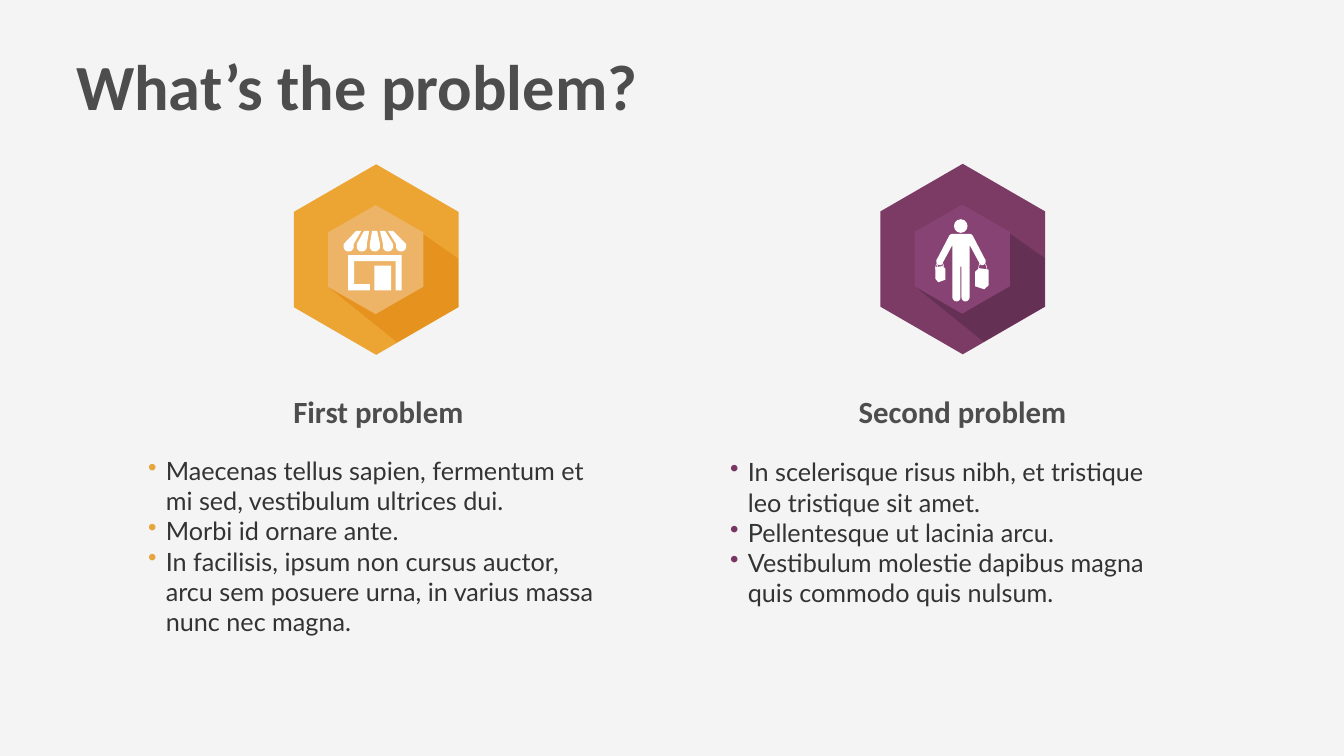
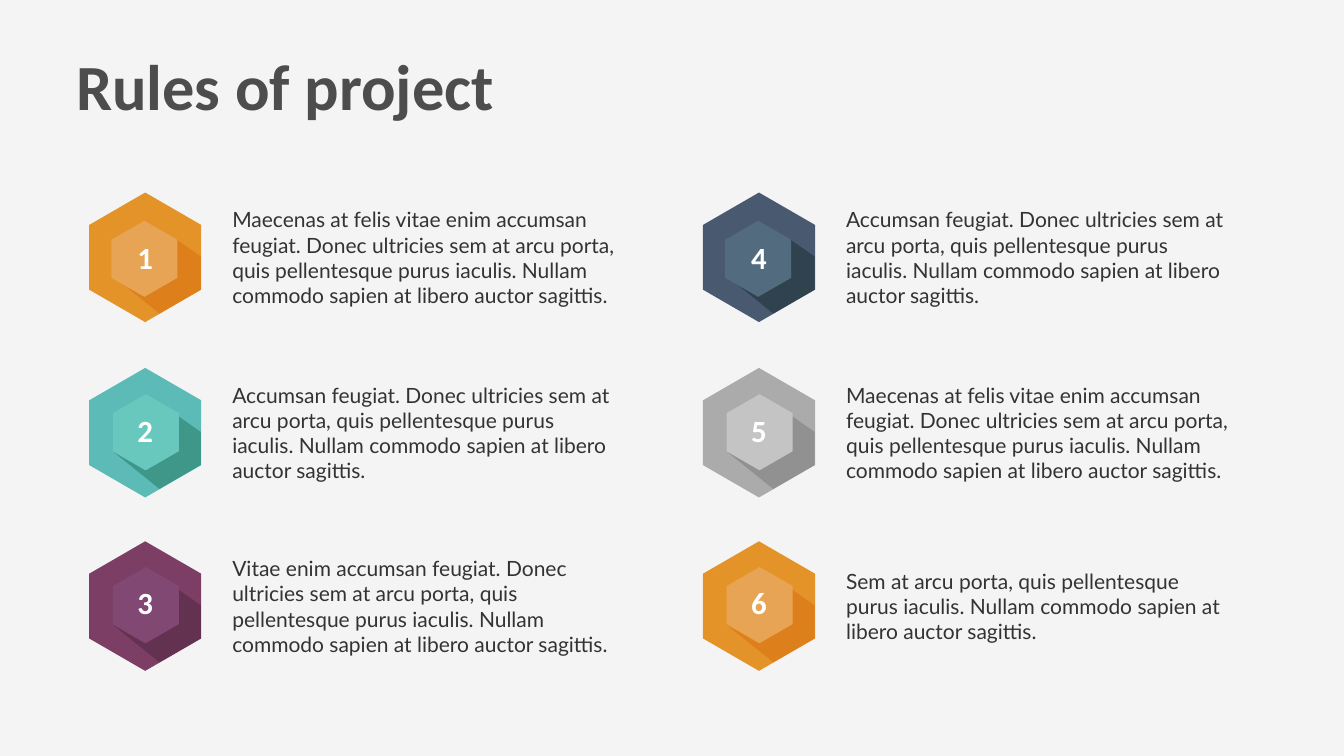
from dataclasses import dataclass
from typing import Optional

import lxml.etree
import pptx
import pptx.dml.color
import pptx.enum.shapes
import pptx.enum.text
import pptx.oxml.ns
import pptx.shapes.autoshape
import pptx.slide
import pptx.util

Inches = pptx.util.Inches
RGBColor = pptx.dml.color.RGBColor
Slide = pptx.slide.Slide
Shape = pptx.shapes.autoshape.Shape
Align = pptx.enum.text.PP_ALIGN
Anchor = pptx.enum.text.MSO_ANCHOR
Point = tuple[float, float]

BACKGROUND = RGBColor(0xF4, 0xF4, 0xF4)
HEADING = RGBColor(0x4D, 0x4D, 0x4D)
BODY = RGBColor(0x33, 0x33, 0x33)
WHITE = RGBColor(0xFF, 0xFF, 0xFF)
ORANGE_BULLET = RGBColor(0xE7, 0xA5, 0x3D)
PURPLE_BULLET = RGBColor(0x79, 0x36, 0x65)


@dataclass(frozen=True)
class TextStyle:
    font: str
    size: int
    color: RGBColor
    bold: bool = False
    align: Align = Align.LEFT
    anchor: Anchor = Anchor.MIDDLE
    inset: float = 0.06


TITLE = TextStyle("Calibri", 92, HEADING, True, anchor=Anchor.TOP, inset=0)
SUBTITLE = TextStyle("Calibri", 44, HEADING, True, Align.CENTER)
NUMBER = TextStyle("Calibri", 44, WHITE, True, Align.CENTER)
BULLETS = TextStyle("Lato", 36, BODY, anchor=Anchor.TOP, inset=0)
RULE_TEXT = TextStyle("Lato", 30, BODY)


@dataclass(frozen=True)
class Palette:
    outer: RGBColor
    shade: RGBColor
    inner: RGBColor


LIGHT_ORANGE = Palette(RGBColor(0xEC, 0xA4, 0x33), RGBColor(0xE5, 0x92, 0x1F), RGBColor(0xED, 0xB4, 0x68))
PLUM = Palette(RGBColor(0x7B, 0x3B, 0x65), RGBColor(0x64, 0x30, 0x53), RGBColor(0x87, 0x43, 0x74))
ORANGE = Palette(RGBColor(0xE4, 0x93, 0x28), RGBColor(0xDD, 0x80, 0x1C), RGBColor(0xE7, 0xA4, 0x55))
TEAL = Palette(RGBColor(0x5C, 0xBB, 0xB6), RGBColor(0x3E, 0x97, 0x89), RGBColor(0x69, 0xC8, 0xBE))
PURPLE = Palette(RGBColor(0x7C, 0x3E, 0x64), RGBColor(0x63, 0x32, 0x51), RGBColor(0x81, 0x48, 0x74))
NAVY = Palette(RGBColor(0x49, 0x5A, 0x70), RGBColor(0x30, 0x42, 0x4E), RGBColor(0x53, 0x6B, 0x7E))
GRAY = Palette(RGBColor(0xAB, 0xAB, 0xAB), RGBColor(0x91, 0x91, 0x91), RGBColor(0xC4, 0xC4, 0xC4))


@dataclass(frozen=True)
class BadgeSize:
    scale: float
    inner_width: float
    inner_height: float


LARGE = BadgeSize(1, 1.89, 2.16)
SMALL = BadgeSize(0.68, 1.31, 1.51)
BADGE_WIDTH, BADGE_HEIGHT = 3.27, 3.78
SHADE = [(2.56, 1.38), (3.26, 1.87), (3.26, 2.83), (2.05, 3.53), (0.72, 2.46), (1.62, 2.98), (2.57, 2.42)]


@dataclass(frozen=True)
class Problem:
    heading: str
    heading_left: float
    badge_at: Point
    palette: Palette
    bullets_at: Point
    bullets_height: float
    bullet_color: RGBColor
    bullets: list[str]


PROBLEMS = [
    Problem("First problem", 4.85, (5.83, 3.26), LIGHT_ORANGE, (2.94, 9.03), 3.78, ORANGE_BULLET, [
        "Maecenas tellus sapien, fermentum et mi sed, vestibulum ultrices dui.",
        "Morbi id ornare ante.",
        "In facilisis, ipsum non cursus auctor, arcu sem posuere urna, in varius massa nunc nec magna.",
    ]),
    Problem("Second problem", 16.44, (17.47, 3.25), PLUM, (14.49, 9.06), 3.17, PURPLE_BULLET, [
        "In scelerisque risus nibh, et tristique leo tristique sit amet.",
        "Pellentesque ut lacinia arcu.",
        "Vestibulum molestie dapibus magna quis commodo quis nulsum.",
    ]),
]


@dataclass(frozen=True)
class RuleRow:
    top: float
    inner_offset: Point
    number_top: float


RULE_COLUMNS = [1.77, 13.95]
RULE_ROWS = [
    RuleRow(3.82, (0.44, 0.56), 4.69),
    RuleRow(7.3, (0.47, 0.52), 8.12),
    RuleRow(10.74, (0.47, 0.51), 11.53),
]
SEM = "em at arcu porta, quis pellentesque purus iaculis. Nullam commodo sapien at libero auctor sagittis."
DONEC = f"ccumsan feugiat. Donec ultricies s{SEM}"
RULES = [
    (ORANGE, f"Maecenas at felis vitae enim a{DONEC}"),
    (TEAL, f"A{DONEC}"),
    (PURPLE, f"Vitae enim a{DONEC}"),
    (NAVY, f"A{DONEC}"),
    (GRAY, f"Maecenas at felis vitae enim a{DONEC}"),
    (ORANGE, f"S{SEM}"),
]

SHOP_FRAME = [(6.91, 5.06), (6.91, 5.76), (7.34, 5.76), (7.34, 5.64), (7.03, 5.64),
              (7.03, 5.18), (7.85, 5.18), (7.85, 5.76), (7.97, 5.76), (7.97, 5.06)]
SHOP_DOOR = [(7.76, 5.27), (7.76, 5.76), (7.43, 5.76), (7.43, 5.27)]
BODY_CENTER = 19.07
BODY_HALF = [(19.07, 4.64), (19.23, 4.64), (19.26, 4.64, 19.28, 4.65, 19.3, 4.67),
             (19.55, 5.15), (19.56, 5.16, 19.56, 5.17, 19.56, 5.19),
             (19.56, 5.22, 19.53, 5.26, 19.49, 5.26), (19.46, 5.26, 19.44, 5.24, 19.43, 5.21),
             (19.24, 4.86), (19.24, 5.9), (19.24, 5.94, 19.2, 5.98, 19.16, 5.98),
             (19.11, 5.98, 19.08, 5.94, 19.08, 5.9), (19.08, 5.29), (19.07, 5.29)]
BAGS = [
    [(19.35, 5.68), (19.53, 5.74), (19.62, 5.66), (19.62, 5.35), (19.43, 5.32), (19.35, 5.39)],
    [(18.76, 5.55), (18.62, 5.6), (18.56, 5.53), (18.56, 5.3), (18.7, 5.28), (18.76, 5.33)],
]
HANDLES = [
    [(18.73, 5.32), (18.73, 5.32, 18.73, 5.2, 18.67, 5.21), (18.61, 5.21, 18.59, 5.28, 18.6, 5.35)],
    [(18.7, 5.32), (18.7, 5.32, 18.71, 5.21, 18.64, 5.21), (18.58, 5.21, 18.56, 5.28, 18.57, 5.35)],
    [(19.42, 5.35), (19.42, 5.35, 19.41, 5.2, 19.49, 5.21), (19.57, 5.21, 19.59, 5.3, 19.58, 5.4)],
]


def flatten(segments: list[tuple[float, ...]], steps: int = 8) -> list[Point]:
    points: list[Point] = []
    for segment in segments:
        if len(segment) == 2:
            points.append(segment)
            continue
        x0, y0 = points[-1]
        x1, y1, x2, y2, x3, y3 = segment
        for step in range(1, steps + 1):
            t = step / steps
            a, b, c, d = (1 - t) ** 3, 3 * t * (1 - t) ** 2, 3 * t * t * (1 - t), t ** 3
            points.append((a * x0 + b * x1 + c * x2 + d * x3, a * y0 + b * y1 + c * y2 + d * y3))
    return points


def paint(shape: Shape, color: RGBColor) -> None:
    shape.shadow.inherit = False
    shape.fill.solid()
    shape.fill.fore_color.rgb = color
    shape.line.fill.background()


def add_outline(slide: Slide, contours: list[list[Point]], closed: bool = True) -> Shape:
    scaled = [[(Inches(x), Inches(y)) for x, y in contour] for contour in contours]
    builder = slide.shapes.build_freeform(*scaled[0][0], scale=1.0)
    for index, contour in enumerate(scaled):
        if index:
            builder.move_to(*contour[0])
        builder.add_line_segments(contour[1:], close=closed)
    return builder.convert_to_shape()


def add_filled(slide: Slide, contours: list[list[Point]], color: RGBColor) -> None:
    paint(add_outline(slide, contours), color)


def add_stroke(slide: Slide, points: list[Point], color: RGBColor) -> None:
    shape = add_outline(slide, [points], closed=False)
    shape.shadow.inherit = False
    shape.fill.background()
    shape.line.color.rgb = color
    shape.line.width = pptx.util.Pt(0.75)


def add_text(slide: Slide, left: float, top: float, width: float, height: float,
             texts: list[str], style: TextStyle, bullet: Optional[RGBColor] = None) -> None:
    box = slide.shapes.add_textbox(Inches(left), Inches(top), Inches(width), Inches(height))
    frame = box.text_frame
    frame.word_wrap = True
    frame.vertical_anchor = style.anchor
    frame.margin_left = frame.margin_right = Inches(style.inset)
    frame.margin_top = frame.margin_bottom = Inches(style.inset)
    for index, text in enumerate(texts):
        paragraph = frame.add_paragraph() if index else frame.paragraphs[0]
        paragraph.alignment = style.align
        if bullet is not None:
            add_bullet(paragraph, bullet)
        run = paragraph.add_run()
        run.text = text
        run.font.name = style.font
        run.font.size = pptx.util.Pt(style.size)
        run.font.bold = style.bold
        run.font.color.rgb = style.color


def add_bullet(paragraph: "pptx.text.text._Paragraph", color: RGBColor) -> None:
    qn = pptx.oxml.ns.qn
    properties = paragraph._p.get_or_add_pPr()
    properties.set("marL", str(Inches(0.35)))
    properties.set("indent", str(-Inches(0.35)))
    bullet_color = lxml.etree.SubElement(properties, qn("a:buClr"))
    lxml.etree.SubElement(bullet_color, qn("a:srgbClr")).set("val", str(color))
    lxml.etree.SubElement(properties, qn("a:buChar")).set("char", "•")


def hexagon(left: float, top: float, width: float, height: float) -> list[Point]:
    corners = [(0.5, 0), (1, 0.25), (1, 0.75), (0.5, 1), (0, 0.75), (0, 0.25)]
    return [(left + x * width, top + y * height) for x, y in corners]


def add_badge(slide: Slide, left: float, top: float, size: BadgeSize,
              inner_offset: Point, palette: Palette) -> None:
    scale = size.scale
    outer = hexagon(left, top, BADGE_WIDTH * scale, BADGE_HEIGHT * scale)
    shade = [(left + x * scale, top + y * scale) for x, y in SHADE]
    inner = hexagon(left + inner_offset[0], top + inner_offset[1], size.inner_width, size.inner_height)
    add_filled(slide, [outer], palette.outer)
    add_filled(slide, [shade], palette.shade)
    add_filled(slide, [inner], palette.inner)


def awning_stripe(index: int) -> list[Point]:
    left = 6.82 + 0.26 * index
    top_left = 7.07 + 0.157 * index
    middle, right = left + 0.1, left + 0.2
    return flatten([
        (top_left + 0.1, 4.58), (right, 4.84), (right, 4.89),
        (right, 4.95, right - 0.05, 4.99, middle, 4.99),
        (left + 0.04, 4.99, left, 4.95, left, 4.89),
        (left, 4.84), (top_left, 4.58),
    ])


def add_shop_icon(slide: Slide) -> None:
    stripes = [awning_stripe(index) for index in range(5)]
    add_filled(slide, [*stripes, SHOP_FRAME, SHOP_DOOR], WHITE)


def add_shopper_icon(slide: Slide) -> None:
    half = flatten(BODY_HALF)
    mirrored = [(2 * BODY_CENTER - x, y) for x, y in reversed(half)]
    add_filled(slide, [half + mirrored], WHITE)
    for bag in BAGS:
        add_filled(slide, [bag], WHITE)
    for handle in HANDLES:
        add_stroke(slide, flatten(handle), WHITE)
    head = slide.shapes.add_shape(pptx.enum.shapes.MSO_SHAPE.OVAL, Inches(18.93), Inches(4.35),
                                  Inches(0.27), Inches(0.27))
    paint(head, WHITE)


def add_slide(presentation: "pptx.presentation.Presentation", title: str) -> Slide:
    slide = presentation.slides.add_slide(presentation.slide_layouts[6])
    slide.background.fill.solid()
    slide.background.fill.fore_color.rgb = BACKGROUND
    add_text(slide, 1.51, 0.92, 15.96, 1.65, [title], TITLE)
    return slide


def build_problem_slide(presentation: "pptx.presentation.Presentation") -> None:
    slide = add_slide(presentation, "What’s the problem?")
    for problem in PROBLEMS:
        add_badge(slide, *problem.badge_at, LARGE, (0.68, 0.81), problem.palette)
        add_text(slide, problem.heading_left, 7.74, 5.32, 0.83, [problem.heading], SUBTITLE)
        add_text(slide, *problem.bullets_at, 8.99, problem.bullets_height,
                 problem.bullets, BULLETS, problem.bullet_color)
    add_shop_icon(slide)
    add_shopper_icon(slide)


def build_rules_slide(presentation: "pptx.presentation.Presentation") -> None:
    slide = add_slide(presentation, "Rules of project")
    for index, (palette, text) in enumerate(RULES):
        left = RULE_COLUMNS[index // len(RULE_ROWS)]
        row = RULE_ROWS[index % len(RULE_ROWS)]
        add_badge(slide, left, row.top, SMALL, row.inner_offset, palette)
        add_text(slide, left + 0.77, row.number_top, 0.68, 0.83, [str(index + 1)], NUMBER)
        add_text(slide, left + 2.78, row.top + 0.23, 7.74, 2.11, [text], RULE_TEXT)


def main() -> None:
    presentation = pptx.Presentation()
    presentation.slide_width = Inches(26.67)
    presentation.slide_height = Inches(15)
    build_problem_slide(presentation)
    build_rules_slide(presentation)
    presentation.save("out.pptx")


if __name__ == "__main__":
    main()
